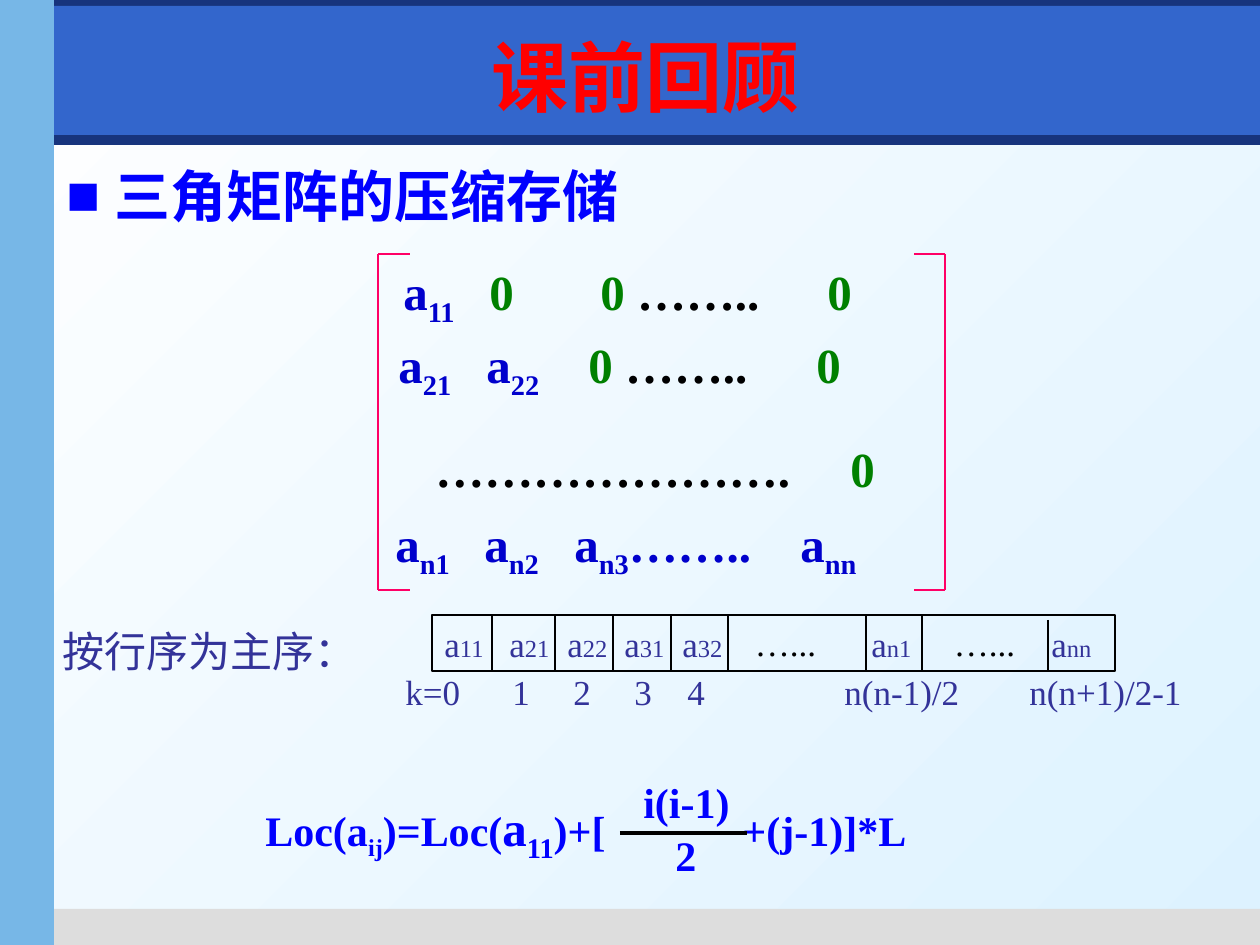
from pptx import Presentation
from pptx.dml.color import RGBColor as RGB
from pptx.enum.shapes import MSO_CONNECTOR as Link, MSO_SHAPE as Kind
from pptx.enum.text import MSO_ANCHOR as Anchor, PP_ALIGN as Align
from pptx.oxml.ns import qn
from pptx.util import Emu, Pt
from lxml.etree import SubElement as Sub

SCALE = 914400 / 126
INSET = 13
SERIF = "Times New Roman"
BLACK = RGB(0, 0, 0)
WHITE = RGB(255, 255, 255)
PALE = RGB(0xDD, 0xF2, 0xFF)
DARK = RGB(0x17, 0x34, 0x7D)
ROYAL = RGB(0x33, 0x66, 0xCC)
SKY = RGB(0x77, 0xB7, 0xE7)
GREY = RGB(0xDD, 0xDD, 0xDD)
BLUE = RGB(0, 0, 255)
NAVY = RGB(0, 0, 0xCC)
GREEN = RGB(0, 0x80, 0)
PINK = RGB(255, 0, 0x66)
INDIGO = RGB(0x33, 0x33, 0x99)
RED = RGB(255, 0, 0)


def px(n):
    return Emu(round(n * SCALE))


class Deck:
    def __init__(self, wide, high):
        self.prs = Presentation()
        self.prs.slide_width, self.prs.slide_height = px(wide), px(high)
        self.slide = self.prs.slides.add_slide(self.prs.slide_layouts[6])
        self.shapes = self.slide.shapes

    def wash(self, first, last):
        """Fill the background with a diagonal gradient."""
        fill = self.slide.background.fill
        fill.gradient()
        fill.gradient_angle = 315
        for stop, color in zip(fill.gradient_stops, (first, last)):
            stop.color.rgb = color

    def rect(self, x, y, w, h, fill=None, line=None):
        box = self.shapes.add_shape(Kind.RECTANGLE, px(x), px(y), px(w), px(h))
        box.shadow.inherit = False
        if fill is None:
            box.fill.background()
        else:
            box.fill.solid()
            box.fill.fore_color.rgb = fill
        if line is None:
            box.line.fill.background()
        else:
            box.line.color.rgb = line
            box.line.width = Pt(0.75)
        return box

    def line(self, x1, y1, x2, y2, color, width):
        link = self.shapes.add_connector(
            Link.STRAIGHT, px(x1), px(y1), px(x2), px(y2))
        link.line.color.rgb = color
        link.line.width = Pt(width)
        Sub(link._element.spPr, qn("a:effectLst"))

    def text(self, x, y, w, h, runs, **style):
        box = self.shapes.add_textbox(px(x), px(y), px(w), px(h))
        self.label(box, runs, **style)
        return box

    def label(self, box, runs, tabs=(), bold=False, font=SERIF,
              align=Align.LEFT, anchor=Anchor.TOP, wrap=True):
        """Runs are (text, size, color[, subscript]); tabs are slide px."""
        frame = box.text_frame
        frame.word_wrap = wrap
        frame.vertical_anchor = anchor
        para = frame.paragraphs[0]
        para.alignment = align
        if tabs:
            stops = Sub(para._p.get_or_add_pPr(), qn("a:tabLst"))
            start = box.left + px(INSET)
            for tab in tabs:
                Sub(stops, qn("a:tab"), pos=str(px(tab) - start), algn="l")
        for words, size, color, *low in runs:
            run = para.add_run()
            run.text = words
            run.font.size = Pt(size)
            run.font.name = font
            run.font.bold = bold
            run.font.color.rgb = color
            if low:
                run._r.get_or_add_rPr().set("baseline", "-25000")

    def bullet(self, box, mark, indent):
        prop = box.text_frame.paragraphs[0]._p.get_or_add_pPr()
        prop.set("marL", str(px(indent)))
        prop.set("indent", str(-px(indent)))
        Sub(prop, qn("a:buFont"), typeface="Arial")
        Sub(prop, qn("a:buChar"), char=mark)


def entry(sub):
    """Runs of one matrix element, after a tab."""
    return [("\ta", 28, NAVY), (sub, 28, NAVY, True)]


def matrix(deck):
    dots, zero = ("……..", 28, BLACK), ("\t0", 28, GREEN)
    gap = (" ", 28, GREEN)
    rows = [
        (255, (404, 490, 601, 828),
         [*entry("11"), zero, zero, gap, dots, zero]),
        (328, (399, 487, 589, 817),
         [*entry("21"), *entry("22"), zero, gap, dots, zero]),
        (432, (436, 851), [("\t………………….", 28, BLACK), zero]),
        (507, (396, 485, 575, 801),
         [*entry("n1"), *entry("n2"), *entry("n3"),
          ("……..", 28, NAVY), *entry("nn")]),
    ]
    for y, tabs, runs in rows:
        deck.text(263, y, 735, 72, runs, tabs=tabs, bold=True)
    top, foot = 254, 590
    for side, tip in ((378, 410), (945, 914)):
        deck.line(side, top, side, foot, PINK, 1.5)
        for y in (top, foot):
            deck.line(side, y, tip, y, PINK, 1.5)


def store(deck):
    """Row of storage cells with its index labels."""
    runs = []
    for i, sub in enumerate(("11", "21", "22", "31", "32", "n1", "nn")):
        runs += [("\ta" if i else "a", 20, INDIGO), (sub, 14, INDIGO)]
    cells = deck.rect(432, 615, 683, 56, line=BLACK)
    deck.label(cells, runs, tabs=(510, 568, 625, 683, 872, 1052),
               anchor=Anchor.MIDDLE)
    for x in (492, 555, 613, 671, 728, 866, 922):
        deck.line(x, 616, x, 671, BLACK, 0.75)
    deck.line(1048, 620, 1048, 671, BLACK, 0.75)
    for x in (742, 941):
        deck.text(x, 615, 87, 54, [("…...", 20, BLACK)], wrap=False,
                  align=Align.CENTER, anchor=Anchor.MIDDLE)
    marks = "k=0\t1\t2\t3\t4\tn(n-1)/2\tn(n+1)/2-1"
    deck.text(393, 664, 810, 54, [(marks, 20, INDIGO)],
              tabs=(513, 574, 635, 688, 845, 1030), anchor=Anchor.MIDDLE)
    deck.text(50, 619, 319, 63, [("按行序为主序：", 24, INDIGO)], wrap=False,
              align=Align.CENTER, anchor=Anchor.MIDDLE)


def formula(deck):
    runs = [("Loc(a", 24, BLUE), ("ij", 24, BLUE, True),
            (")=Loc(", 24, BLUE), ("a", 28, BLUE), ("11", 28, BLUE, True),
            (")+[\t+(j-1)]*L", 24, BLUE)]
    deck.text(253, 791, 689, 72, runs, tabs=(743,), bold=True)
    deck.line(620, 833, 747, 833, BLACK, 2.25)
    deck.text(631, 770, 116, 63, [("i(i-1)", 24, BLUE)], bold=True)
    deck.text(663, 823, 69, 63, [("2", 24, BLUE)], bold=True)


def main():
    deck = Deck(1260, 945)
    deck.wash(WHITE, PALE)
    for bar in ((54, 135, 1206, 10, DARK), (44, 909, 1216, 36, GREY),
                (0, 0, 1260, 26, DARK), (54, 6, 1206, 129, ROYAL),
                (0, 0, 54, 945, SKY)):
        deck.rect(*bar)
    head = deck.text(54, 155, 1181, 743, [("三角矩阵的压缩存储", 32, BLUE)],
                     bold=True, font="Arial")
    deck.bullet(head, "■", 48)
    matrix(deck)
    store(deck)
    formula(deck)
    deck.text(66, 21, 1160, 110, [("课前回顾", 44, RED)], bold=True,
              font="DejaVu Sans", align=Align.CENTER, anchor=Anchor.MIDDLE)
    deck.prs.save("out.pptx")


if __name__ == "__main__":
    main()
